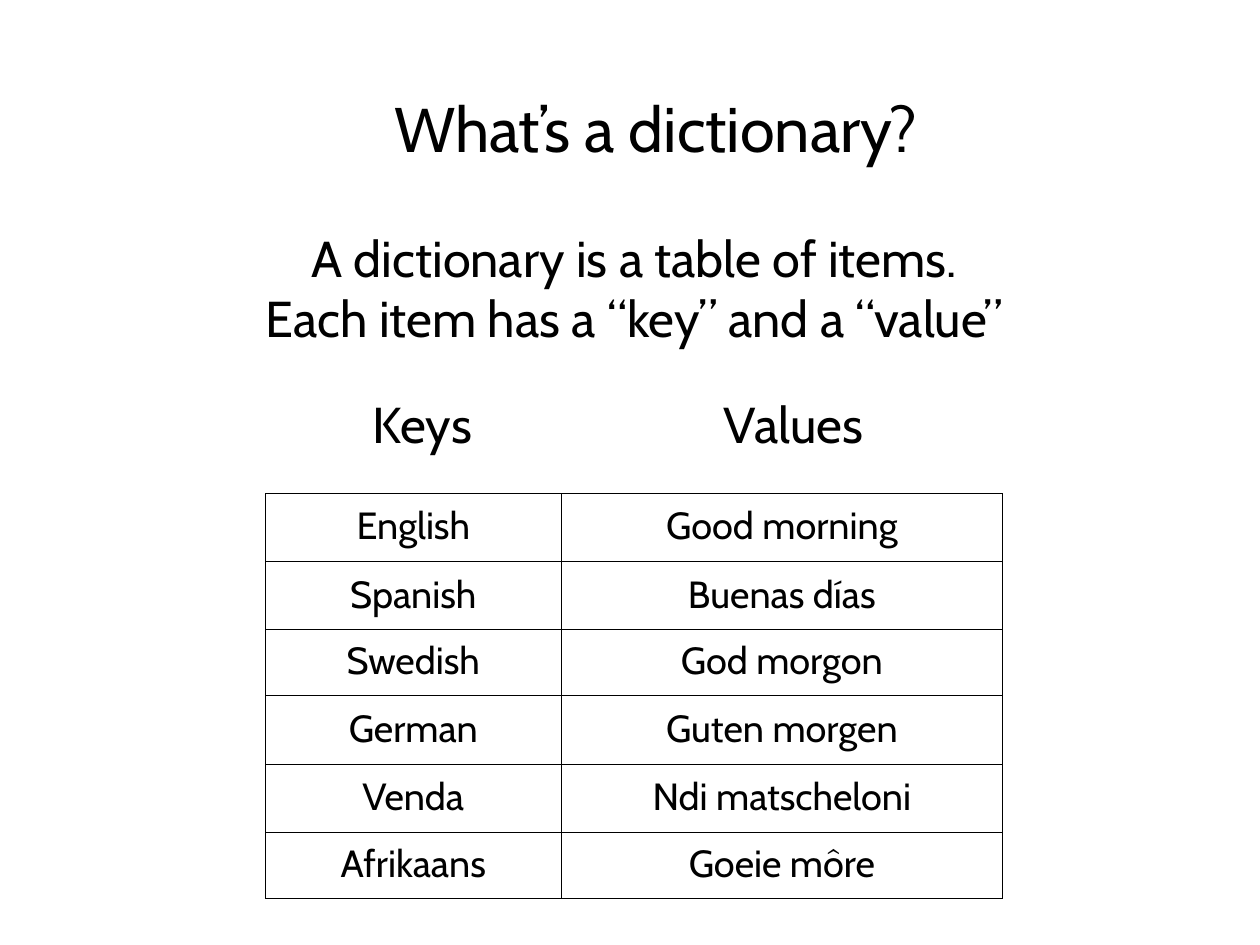
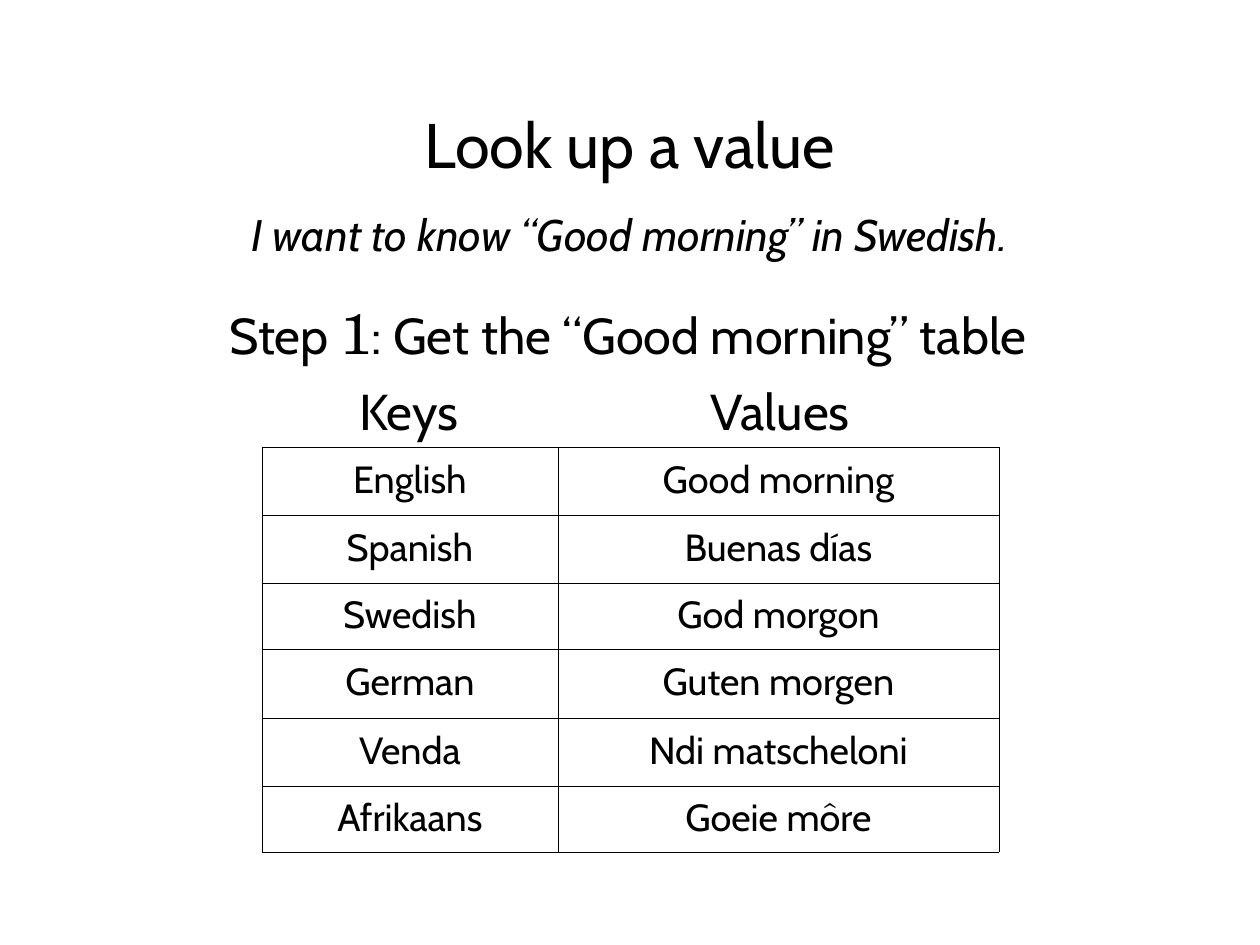
from lxml import etree
from pptx import Presentation
from pptx.dml.color import RGBColor
from pptx.enum import text as t
from pptx.oxml import ns
from pptx.util import Pt

BLACK = RGBColor(0, 0, 0)
WHITE = RGBColor(255, 255, 255)
SANS, SERIF = "Cabin", "TeX Gyre Schola"
WIDTH, HEIGHT = 800, 600
TITLE_WIDTH = 643.7
HEADING_SIZE = 32
HEADINGS = [("Keys", 0, 69.8), ("Values", 221.4, 98.6)]
COLUMN_WIDTHS = [187.9, 280.1]
ROW_HEIGHTS = [43.2, 43.2, 41.8, 43.9, 43.2, 41.8]
BORDER = 0.06
GREETINGS = [
    ("English", "Good morning"),
    ("Spanish", "Buenas días"),
    ("Swedish", "God morgon"),
    ("German", "Guten morgen"),
    ("Venda", "Ndi matscheloni"),
    ("Afrikaans", "Goeie môre"),
]
SLIDES = [
    {
        "title": ("What’s a dictionary?", (94.3, 0, TITLE_WIDTH, 161.3)),
        "statements": [
            ([[("A dictionary is a table of items.", {})],
              [("Each item has a “key” and a “value”", {})]],
             (141.8, 144, 522, 77), False),
        ],
        "headings": (233.3, 249.8),
        "table": (168.5, 313.2),
    },
    {
        "title": ("Look up a value", (77.8, 15.8, TITLE_WIDTH, 149.8)),
        "statements": [
            ([[("I want to know “Good morning” in Swedish.",
                {"size": Pt(28), "italic": True})]],
             (74.2, 131.8, 650.9, 33.8), True),
            ([[("Step ", {}),
               ("1", {"size": Pt(36), "name": SERIF}),
               (": Get the “Good morning” table", {})]],
             (119.5, 189.4, 558.7, 43.2), False),
        ],
        "headings": (224.6, 241.2),
        "table": (166.3, 283.7),
    },
]

TITLE_FRAME = {
    "margin_left": Pt(7.2), "margin_right": Pt(7.2),
    "margin_top": Pt(3.6), "margin_bottom": Pt(3.6),
    "vertical_anchor": t.MSO_ANCHOR.MIDDLE, "word_wrap": True,
}
STATEMENT_FRAME = {
    "margin_left": 0, "margin_right": 0, "margin_top": 0, "margin_bottom": 0,
    "vertical_anchor": t.MSO_ANCHOR.TOP,
    "auto_size": t.MSO_AUTO_SIZE.SHAPE_TO_FIT_TEXT,
}
CELL_FORMAT = {
    "margin_left": Pt(7.2), "margin_right": Pt(7.2),
    "margin_top": Pt(3.6), "margin_bottom": Pt(3.6),
    "vertical_anchor": t.MSO_ANCHOR.MIDDLE,
}


def apply(target, values):
    for key, value in values.items():
        setattr(target, key, value)


def write(frame, lines, size, **spacing):
    for index, line in enumerate(lines):
        paragraph = frame.add_paragraph() if index else frame.paragraphs[0]
        apply(paragraph, {"alignment": t.PP_ALIGN.CENTER, **spacing})
        for words, changes in line:
            run = paragraph.add_run()
            run.text = words
            apply(run.font, {"size": Pt(size), "name": SANS, **changes})
            run.font.color.rgb = BLACK


def add_title(slide, words, box):
    title = slide.shapes.title
    apply(title, dict(zip(("left", "top", "width", "height"), map(Pt, box))))
    apply(title.text_frame, TITLE_FRAME)
    write(title.text_frame, [[(words, {})]], 40, space_after=Pt(2))


def add_statement(slide, lines, box, wrap):
    frame = slide.shapes.add_textbox(*map(Pt, box)).text_frame
    apply(frame, {**STATEMENT_FRAME, "word_wrap": wrap})
    write(frame, lines, HEADING_SIZE)


def add_borders(cell):
    properties = cell._tc.get_or_add_tcPr()
    for side in ("lnL", "lnR", "lnT", "lnB"):
        edge = etree.SubElement(properties, ns.qn(f"a:{side}"), w=str(Pt(BORDER)))
        fill = etree.SubElement(edge, ns.qn("a:solidFill"))
        etree.SubElement(fill, ns.qn("a:srgbClr"), val=str(BLACK))


def add_greetings(slide, left, top):
    table = slide.shapes.add_table(
        len(GREETINGS), len(COLUMN_WIDTHS), Pt(left), Pt(top),
        Pt(sum(COLUMN_WIDTHS)), Pt(sum(ROW_HEIGHTS))).table
    apply(table, {"first_row": False, "horz_banding": False})
    for column, width in zip(table.columns, COLUMN_WIDTHS):
        column.width = Pt(width)
    for row, height, entry in zip(table.rows, ROW_HEIGHTS, GREETINGS):
        row.height = Pt(height)
        for cell, words in zip(row.cells, entry):
            apply(cell, CELL_FORMAT)
            add_borders(cell)
            cell.fill.background()
            write(cell.text_frame, [[(words, {})]], 24, line_spacing=0.92)


deck = Presentation()
apply(deck, {"slide_width": Pt(WIDTH), "slide_height": Pt(HEIGHT)})
background = deck.slide_master.background.fill
background.solid()
background.fore_color.rgb = WHITE
for content in SLIDES:
    slide = deck.slides.add_slide(deck.slide_layouts.get_by_name("Title Only"))
    add_title(slide, *content["title"])
    for statement in content["statements"]:
        add_statement(slide, *statement)
    add_greetings(slide, *content["table"])
    left, top = content["headings"]
    for words, offset, width in HEADINGS:
        add_statement(slide, [[(words, {})]], (left + offset, top, width, 38.2), False)
deck.save("out.pptx")
